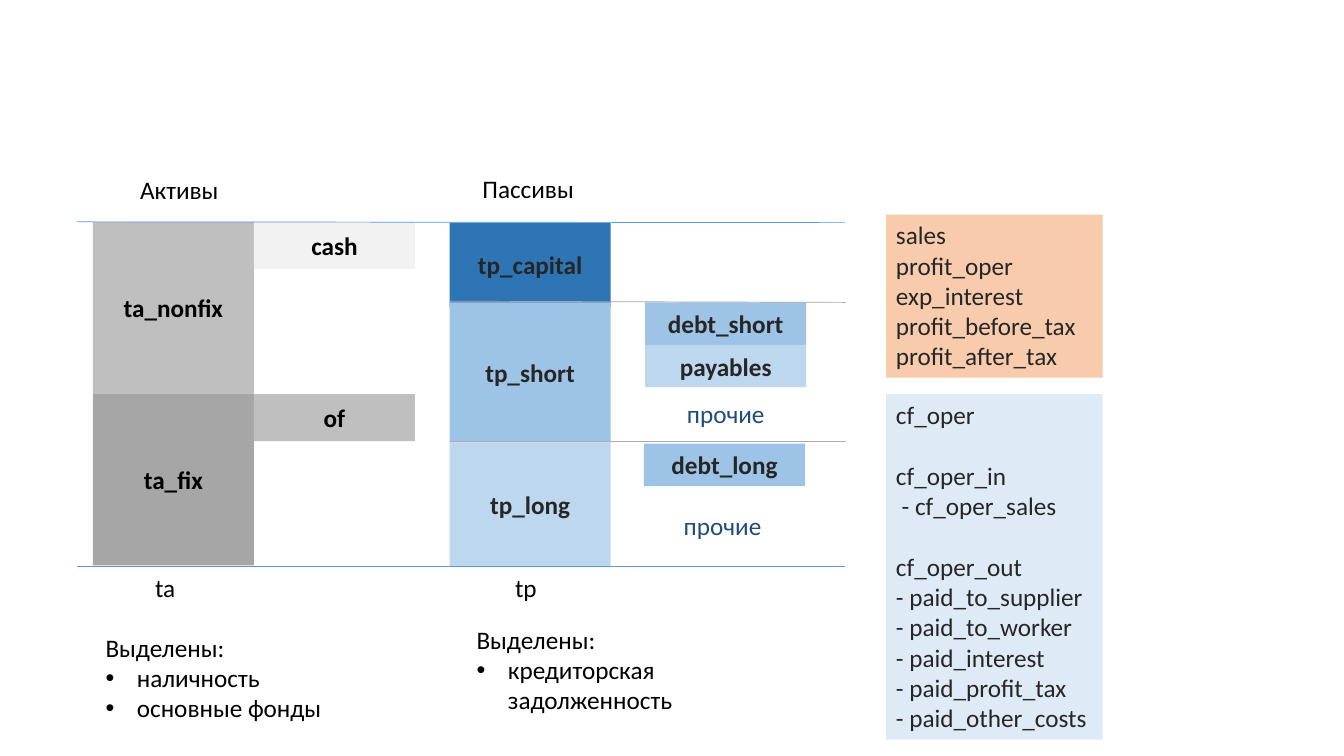
from lxml.etree import SubElement
from pptx import Presentation
from pptx.dml.color import RGBColor
from pptx.enum.shapes import MSO_CONNECTOR as Connector, MSO_SHAPE as Shape
from pptx.enum.text import MSO_ANCHOR as Anchor, PP_ALIGN as Align
from pptx.oxml.ns import qn
from pptx.util import Cm, Pt

BLACK = RGBColor(0x00, 0x00, 0x00)
CHARCOAL = RGBColor(0x26, 0x26, 0x26)
NAVY = RGBColor(0x1F, 0x4E, 0x79)
DARK_GRAY = RGBColor(0xA6, 0xA6, 0xA6)
WARM_GRAY = RGBColor(0xAF, 0xAB, 0xAB)
GRAY = RGBColor(0xBF, 0xBF, 0xBF)
PALE_GRAY = RGBColor(0xF2, 0xF2, 0xF2)
STRONG_BLUE = RGBColor(0x2E, 0x75, 0xB6)
LINE_BLUE = RGBColor(0x5B, 0x9B, 0xD5)
BLUE = RGBColor(0x9D, 0xC3, 0xE6)
LIGHT_BLUE = RGBColor(0xBD, 0xD7, 0xEE)
PALE_BLUE = RGBColor(0xDE, 0xEB, 0xF7)
PEACH = RGBColor(0xF8, 0xCB, 0xAD)

BLOCK_WIDTH = 4.06
ASSETS_LEFT, ASSET_PARTS_LEFT = 2.34, 6.4
LIABILITIES_LEFT, LIABILITY_PARTS_LEFT = 11.33, 16.26
PANEL_LEFT, PANEL_WIDTH = 22.33, 5.46
TOP, MIDDLE = 5.59, 9.93


def write(shape, text, color=BLACK, bold=False, align=Align.LEFT,
          anchor=Anchor.TOP, bulleted=False, gap_before=()):
    frame = shape.text_frame
    frame.word_wrap = True
    frame.vertical_anchor = anchor
    for index, line in enumerate(text.split("\n")):
        paragraph = frame.paragraphs[0] if index == 0 else frame.add_paragraph()
        paragraph.alignment = align
        if line in gap_before:
            paragraph.space_before = Pt(22)
        if bulleted and index > 0:
            add_bullet(paragraph)
        run = paragraph.add_run()
        run.text = line
        run.font.name = "Calibri"
        run.font.size = Pt(18)
        run.font.bold = bold
        run.font.color.rgb = color


def add_bullet(paragraph):
    properties = paragraph._p.get_or_add_pPr()
    properties.set("marL", str(Cm(0.79)))
    properties.set("indent", str(-Cm(0.79)))
    SubElement(properties, qn("a:buFont"), typeface="Arial")
    SubElement(properties, qn("a:buChar"), char="•")


def add_rectangle(slide, left, top, width, height, fill):
    shape = slide.shapes.add_shape(
        Shape.RECTANGLE, Cm(left), Cm(top), Cm(width), Cm(height))
    shape.shadow.inherit = False
    shape.fill.solid()
    shape.fill.fore_color.rgb = fill
    shape.line.fill.background()
    return shape


def add_block(slide, text, left, top, height, fill, color=CHARCOAL):
    shape = add_rectangle(slide, left, top, BLOCK_WIDTH, height, fill)
    write(shape, text, color=color, bold=True, align=Align.CENTER,
          anchor=Anchor.MIDDLE)


def add_panel(slide, text, top, height, fill, gap_before=()):
    shape = add_rectangle(slide, PANEL_LEFT, top, PANEL_WIDTH, height, fill)
    write(shape, text, color=CHARCOAL, gap_before=gap_before)


def add_text(slide, text, left, top, width, height, **text_format):
    box = slide.shapes.add_textbox(Cm(left), Cm(top), Cm(width), Cm(height))
    write(box, text, **text_format)


def add_line(slide, start_x, start_y, end_x, end_y, color):
    line = slide.shapes.add_connector(
        Connector.STRAIGHT, Cm(start_x), Cm(start_y), Cm(end_x), Cm(end_y))
    line.line.color.rgb = color
    line.line.width = Pt(0.5)
    SubElement(line._element.spPr, qn("a:effectLst"))


def add_assets(slide):
    for text, left, top, height, fill in (
        ("ta_nonfix", ASSETS_LEFT, TOP, 4.34, GRAY),
        ("ta_fix", ASSETS_LEFT, MIDDLE, 4.32, DARK_GRAY),
        ("of", ASSET_PARTS_LEFT, MIDDLE, 1.19, GRAY),
        ("cash", ASSET_PARTS_LEFT, TOP, 1.19, PALE_GRAY),
    ):
        add_block(slide, text, left, top, height, fill, color=BLACK)


def add_liabilities(slide):
    for text, left, top, height, fill in (
        ("tp_capital", LIABILITIES_LEFT, 5.61, 2.13, STRONG_BLUE),
        ("tp_short", LIABILITIES_LEFT, 7.62, 3.53, BLUE),
        ("tp_long", LIABILITIES_LEFT, 11.15, 3.12, LIGHT_BLUE),
        ("debt_short", LIABILITY_PARTS_LEFT, 7.62, 1.07, BLUE),
        ("payables", LIABILITY_PARTS_LEFT, 8.69, 1.07, LIGHT_BLUE),
        ("debt_long", 16.23, 11.18, 1.07, BLUE),
    ):
        add_block(slide, text, left, top, height, fill)
    for left, top, height in ((LIABILITY_PARTS_LEFT, 9.65, 1.52),
                              (16.18, 12.22, 2.06)):
        add_text(slide, "прочие", left, top, BLOCK_WIDTH, height, color=NAVY,
                 align=Align.CENTER, anchor=Anchor.MIDDLE)


def main():
    presentation = Presentation()
    presentation.slide_width = Cm(33.87)
    presentation.slide_height = Cm(19.05)
    slide = presentation.slides.add_slide(presentation.slide_layouts[6])

    add_assets(slide)
    add_liabilities(slide)

    add_line(slide, 1.93, 14.27, 21.29, 14.27, LINE_BLUE)
    add_line(slide, 1.93, TOP, 21.29, 5.61, LINE_BLUE)
    add_line(slide, LIABILITIES_LEFT, 7.59, 21.31, 7.62, DARK_GRAY)
    add_line(slide, LIABILITIES_LEFT, 11.13, 21.31, 11.13, WARM_GRAY)

    for text, left, top, width in (
        ("Активы", 3.28, 4.27, 4.78),
        ("Пассивы", 11.91, 4.24, 4.78),
        ("ta", 3.66, 14.3, 3.18),
        ("tp", 12.73, 14.3, 3.18),
    ):
        add_text(slide, text, left, top, width, 1.02)

    add_text(slide, "Выделены:\nналичность\nосновные фонды",
             2.41, 15.8, 7.11, 2.57, bulleted=True)
    add_text(slide, "Выделены:\nкредиторская задолженность",
             11.76, 15.6, 7.11, 2.57, bulleted=True)

    add_panel(slide, "sales\nprofit_oper\nexp_interest\n"
              "profit_before_tax\nprofit_after_tax", 5.41, 4.11, PEACH)
    add_panel(slide, "cf_oper\ncf_oper_in\n - cf_oper_sales\ncf_oper_out\n"
              "- paid_to_supplier\n- paid_to_worker\n- paid_interest\n"
              "- paid_profit_tax\n- paid_other_costs", MIDDLE, 8.71, PALE_BLUE,
              gap_before=("cf_oper_in", "cf_oper_out"))

    presentation.save("out.pptx")


if __name__ == "__main__":
    main()
